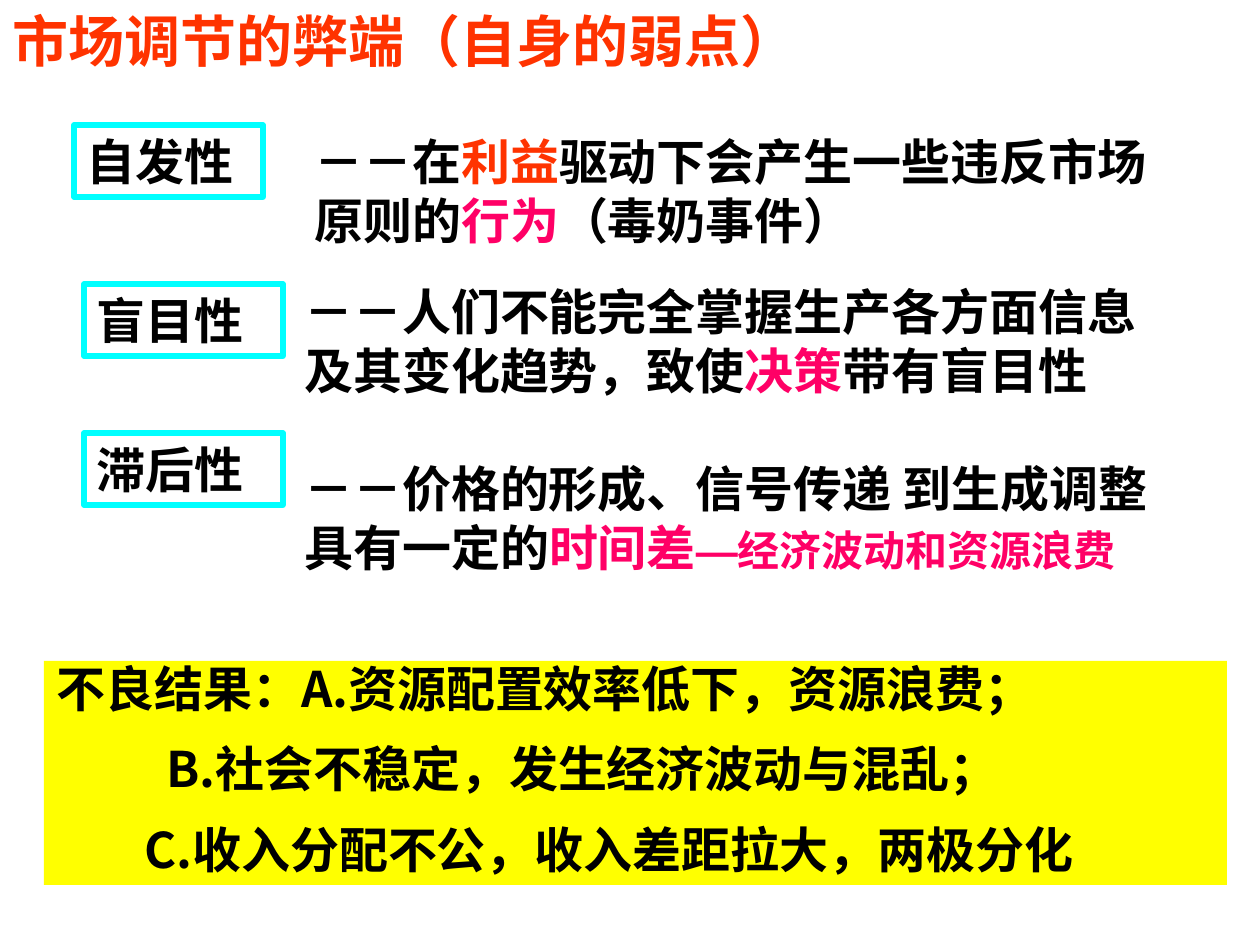
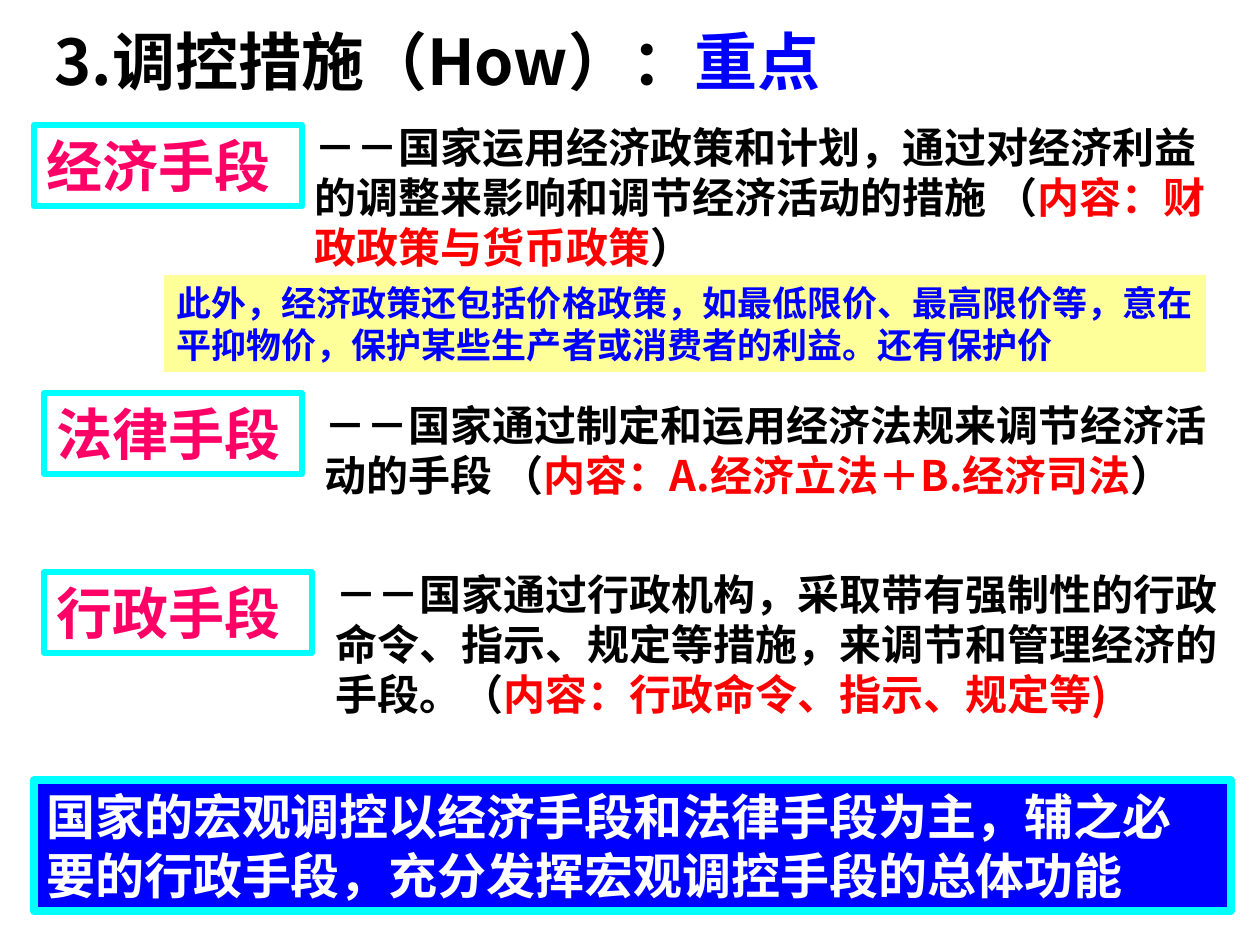
from pptx import Presentation
from pptx import util as u
from pptx.dml.color import RGBColor
from pptx.enum import shapes, text
from pptx.oxml.ns import qn
from lxml import etree

# Shared look
BLACK = RGBColor(0, 0, 0)
WHITE = RGBColor(255, 255, 255)
ORANGE = RGBColor(255, 51, 0)
PINK = RGBColor(255, 0, 102)
RED = RGBColor(255, 0, 0)
BLUE = RGBColor(0, 0, 255)
CYAN = RGBColor(0, 255, 255)
YELLOW = RGBColor(255, 255, 0)
CREAM = RGBColor(255, 255, 153)
SANS, ARIAL = "Noto Sans CJK SC", "Arial"
EMU = 914400 / 126  # one px

# Content: a run is (text, colour, then size and font if they differ)
# Boxes are left, top, width, height in px
FLAWS = {
    "title": ([("市场调节的弊端（自身的弱点）", ORANGE)], (0, 0, 977, 81), 32),
    "label": (28, BLACK),
    "size": 28,
    "rows": [
        ("自发性", (74, 125, 189, 72), (302, 125, 858, 131),
         [("－－在", BLACK), ("利益", ORANGE),
          ("驱动下会产生一些违反市场原则的", BLACK), ("行为", PINK),
          ("（毒奶事件）", BLACK)]),
        ("盲目性", (84, 284, 199, 72), (292, 275, 888, 131),
         [("－－人们不能完全掌握生产各方面信息及其变化趋势，致使", BLACK),
          ("决策", PINK), ("带有盲目性", BLACK)]),
        ("滞后性", (84, 433, 199, 72), (292, 452, 914, 131),
         [("－－价格的形成、信号传递 到生成调整具有一定的", BLACK),
          ("时间差", PINK), ("—经济波动和资源浪费", PINK, 24, ARIAL)]),
    ],
}
RESULTS = [
    ("不良结果：A.资源配置效率低下，资源浪费；", 0),
    ("B.社会不稳定，发生经济波动与混乱；", 110),
    ("C.收入分配不公，收入差距拉大，两极分化", 88),
]
MEANS = {
    "title": ([("3.调控措施（How）：", BLACK), ("重点", BLUE)],
              (42, 16, 837, 164), 36),
    "label": (32, PINK),
    "size": 24,
    "rows": [
        ("经济手段", (34, 125, 268, 81), (302, 115, 932, 164),
         [("－－国家运用经济政策和计划，通过对经济利益的调整来影响和"
           "调节经济活动的措施 （", BLACK),
          ("内容：财政政策与货币政策", RED), ("）", BLACK)]),
        ("法律手段", (44, 393, 258, 81), (312, 393, 920, 113),
         [("－－国家通过制定和运用经济法规来调节经济活动的手段 （", BLACK),
          ("内容：A.经济立法＋B.经济司法", RED), ("）", BLACK)]),
        ("行政手段", (44, 572, 268, 81), (323, 562, 912, 164),
         [("－－国家通过行政机构，采取带有强制性的行政命令、指示、规定等"
           "措施，来调节和管理经济的手段。（", BLACK),
          ("内容：行政命令", RED), ("、", RED, 24, ARIAL), ("指示", RED),
          ("、", RED, 24, ARIAL), ("规定等)", RED)]),
    ],
}
NOTE = ("此外，经济政策还包括价格政策，如最低限价、最高限价等，意在平抑物价，"
        "保护某些生产者或消费者的利益。还有保护价")
SUM = ("国家的宏观调控以经济手段和法律手段为主，辅之必要的行政手段，"
       "充分发挥宏观调控手段的总体功能")


def px(n):
    return u.Emu(round(n * EMU))


def write(frame, paras, size, font=SANS, gap=0, lead=None):
    """Fill a frame with (runs, indent) paragraphs."""
    frame.word_wrap = True
    frame.auto_size = text.MSO_AUTO_SIZE.NONE
    frame.vertical_anchor = text.MSO_ANCHOR.TOP
    for i, (runs, indent) in enumerate(paras):
        para = frame.add_paragraph() if i else frame.paragraphs[0]
        para.alignment = text.PP_ALIGN.LEFT
        para.space_before = u.Pt(gap if i else 0)
        if lead:
            para.line_spacing = lead
        if indent:
            para._p.get_or_add_pPr().set("marL", str(px(indent)))
        for words, tint, *rest in runs:
            pt, face = rest or (size, font)
            run = para.add_run()
            run.text = words
            run.font.size, run.font.bold, run.font.name = u.Pt(pt), True, face
            run.font.color.rgb = tint
            east = etree.SubElement(run._r.get_or_add_rPr(), qn("a:ea"))
            east.set("typeface", face)


def add_box(slide, place, paras, size, fill=None, line=0, **form):
    """Draw a rectangle with text; line is the border width in points."""
    box = slide.shapes.add_shape(shapes.MSO_SHAPE.RECTANGLE, *map(px, place))
    box.shadow.inherit = False
    if fill is None:
        box.fill.background()
    else:
        box.fill.solid()
        box.fill.fore_color.rgb = fill
    if line:
        box.line.color.rgb = CYAN
        box.line.width = u.Pt(line)
    else:
        box.line.fill.background()
    write(box.text_frame, paras, size, **form)


def add_page(deck, data):
    """Add a slide with its title, framed labels and descriptions."""
    slide = deck.slides.add_slide(deck.slide_layouts[5])
    runs, place, size = data["title"]
    head = slide.shapes.title
    head.left, head.top, head.width, head.height = map(px, place)
    write(head.text_frame, [(runs, 0)], size)
    pt, tint = data["label"]
    for i, (name, spot, _, _) in enumerate(data["rows"]):
        add_box(slide, spot, [([(name, tint)], 0)], pt,
                fill=None if i else WHITE, line=3)
    for _, _, spot, runs in data["rows"]:
        area = slide.shapes.add_textbox(*map(px, spot))
        write(area.text_frame, [(runs, 0)], data["size"])
    return slide


def main():
    deck = Presentation()
    deck.slide_width, deck.slide_height = px(1260), px(945)

    # Flaws of the market
    slide = add_page(deck, FLAWS)
    paras = [([(words, BLACK)], indent) for words, indent in RESULTS]
    add_box(slide, (44, 661, 1183, 224), paras, 28, fill=YELLOW,
            gap=17.5, lead=0.85)

    # Means of control
    slide = add_page(deck, MEANS)
    add_box(slide, (34, 780, 1197, 131), [([(SUM, WHITE)], 0)], 28,
            fill=BLUE, line=4.5)
    add_box(slide, (164, 275, 1042, 97), [([(NOTE, BLUE)], 0)], 20,
            fill=CREAM, font=ARIAL)

    deck.save("out.pptx")


if __name__ == "__main__":
    main()
